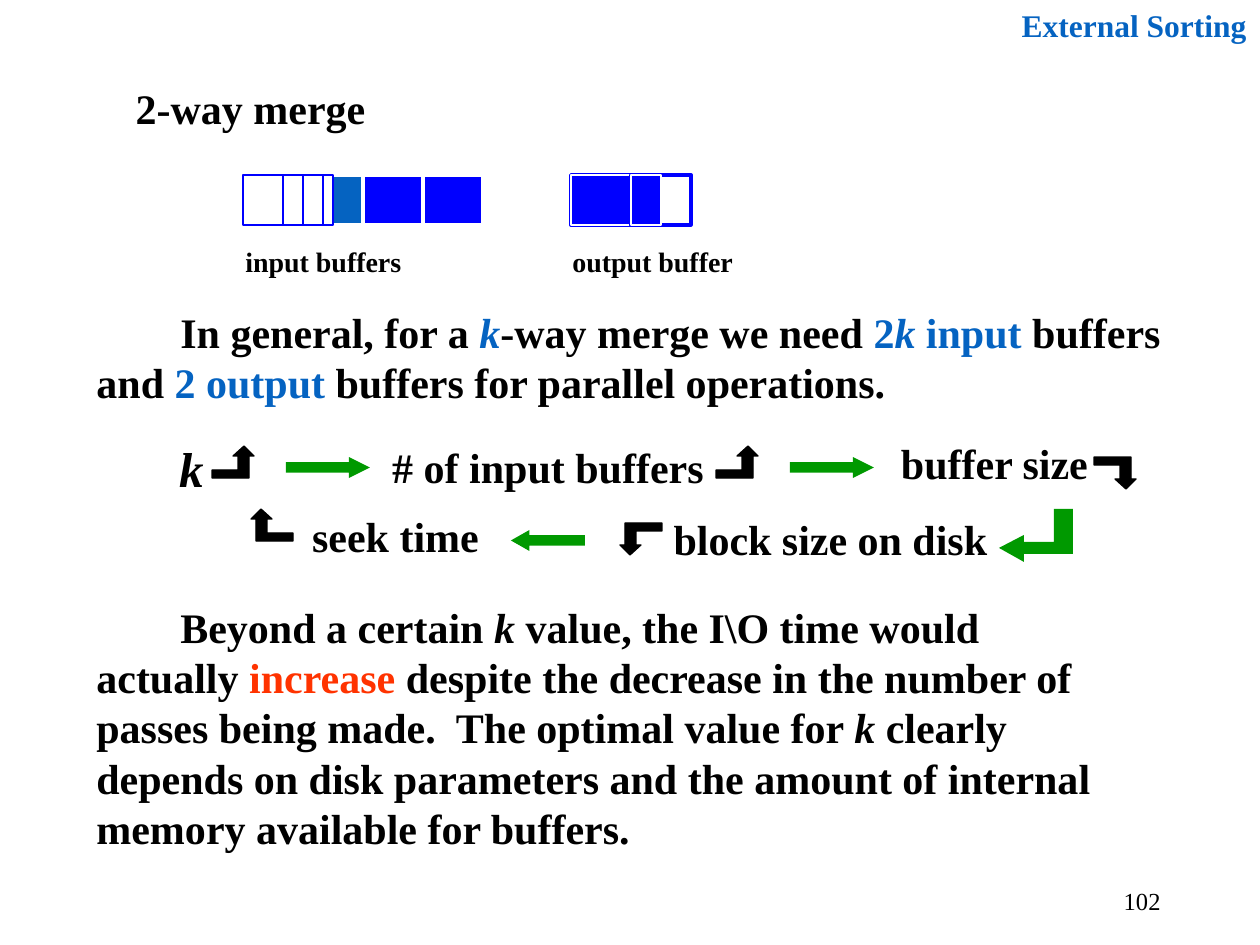
import pptx
import pptx.dml.color
import pptx.enum.shapes
import pptx.enum.text
import pptx.util

RGBColor = pptx.dml.color.RGBColor
BLACK = RGBColor(0x00, 0x00, 0x00)
WHITE = RGBColor(0xFF, 0xFF, 0xFF)
ACCENT = RGBColor(0x05, 0x63, 0xC1)
BLUE = RGBColor(0x00, 0x00, 0xFF)
GREEN = RGBColor(0x00, 0x99, 0x00)
RED = RGBColor(0xFF, 0x33, 0x00)

SCALE = 914400 / 126  # EMU in one px
SHAPE = pptx.enum.shapes.MSO_SHAPE
ALIGN = pptx.enum.text.PP_ALIGN
ANCHOR = pptx.enum.text.MSO_ANCHOR


def write_text(box, at, runs, size=24, bold=True, align=ALIGN.LEFT,
               anchor=ANCHOR.TOP, wrap=True, indent=0):
    """Place the box and fill it with one paragraph of (text, colour, italic) runs."""
    box.left, box.top, box.width, box.height = [round(v * SCALE) for v in at]
    frame = box.text_frame
    frame.auto_size = pptx.enum.text.MSO_AUTO_SIZE.NONE
    frame.word_wrap = wrap
    frame.vertical_anchor = anchor
    para = frame.paragraphs[0]
    para.alignment = align
    para.line_spacing = 1.0
    para.space_before = pptx.util.Pt(0)
    if indent:
        properties = para._p.get_or_add_pPr()
        properties.set("marL", "0")
        properties.set("indent", str(round(indent * SCALE)))
    for text, color, italic in runs:
        span = para.add_run()
        span.text = text
        span.font.name = "Times New Roman"
        span.font.size = pptx.util.Pt(size)
        span.font.bold = bold
        span.font.italic = italic
        span.font.color.rgb = color


def draw_outline(points, color, line_width=0):
    builder = page.shapes.build_freeform(*points[0], scale=SCALE)
    builder.add_line_segments(points[1:], close=True)
    arrow = builder.convert_to_shape()
    arrow.shadow.inherit = False
    arrow.fill.solid()
    arrow.fill.fore_color.rgb = color
    if line_width:
        arrow.line.color.rgb = color
        arrow.line.width = pptx.util.Pt(line_width)
    else:
        arrow.line.fill.background()


deck = pptx.Presentation()
deck.slide_width = round(1260 * SCALE)
deck.slide_height = round(945 * SCALE)
page = deck.slides.add_slide(deck.slide_layouts[5])

# Title, running header and page number
write_text(page.shapes.title, (123, 76, 307, 63), [("2-way merge", BLACK, False)])
write_text(page.shapes.add_textbox(0, 0, 0, 0), (958, 0, 301, 50),
           [("External Sorting", ACCENT, False)], size=18, align=ALIGN.RIGHT)
write_text(page.shapes.add_textbox(0, 0, 0, 0), (890, 876, 283, 50),
           [("102", BLACK, False)], size=14, bold=False, align=ALIGN.RIGHT,
           anchor=ANCHOR.MIDDLE)

# Buffers: full slots are 60 px wide, the emptied parts lie on top
SLOT, BUFFER_TOP, BUFFER_HEIGHT = 60, 175, 50
INPUT, OUTPUT = 243, 571
buffer_cells = [  # left, width, fill, line colour, line width
    (INPUT, SLOT, ACCENT, WHITE, 2),
    (INPUT + SLOT, SLOT, ACCENT, WHITE, 2),
    (OUTPUT, SLOT, None, BLUE, 2),
    (INPUT, 40, WHITE, BLUE, 1),
    (OUTPUT, SLOT, BLUE, WHITE, 1),
    (INPUT + 60, 20, WHITE, BLUE, 1),
    (OUTPUT + SLOT, SLOT, WHITE, BLUE, 2),
    (INPUT + 40, 20, WHITE, BLUE, 1),
    (INPUT + 80, 10, WHITE, BLUE, 1),
    (OUTPUT + SLOT, 30, BLUE, WHITE, 1),
    (INPUT + 2 * SLOT, SLOT, BLUE, WHITE, 2),
    (INPUT + 3 * SLOT, SLOT, BLUE, WHITE, 2),
]
for left, width, fill, line, line_width in buffer_cells:
    cell = page.shapes.add_shape(
        SHAPE.RECTANGLE,
        *[round(v * SCALE) for v in (left, BUFFER_TOP, width, BUFFER_HEIGHT)])
    cell.shadow.inherit = False
    if fill is None:
        cell.fill.background()
    else:
        cell.fill.solid()
        cell.fill.fore_color.rgb = fill
    cell.line.color.rgb = line
    cell.line.width = pptx.util.Pt(line_width)

for left, caption in ((233, "input buffers"), (560, "output buffer")):
    write_text(page.shapes.add_textbox(0, 0, 0, 0), (left, 238, 199, 47),
               [(caption, BLACK, False)], size=16)

# Body paragraphs
write_text(page.shapes.add_textbox(0, 0, 0, 0), (84, 300, 1102, 113), [
    ("In general, for a ", BLACK, False),
    ("k", ACCENT, True),
    ("-way merge we need ", BLACK, False),
    ("2", ACCENT, False),
    ("k", ACCENT, True),
    (" input", ACCENT, False),
    (" buffers and ", BLACK, False),
    ("2 output", ACCENT, False),
    (" buffers for parallel operations.", BLACK, False),
], indent=84)
write_text(page.shapes.add_textbox(0, 0, 0, 0), (84, 595, 1052, 265), [
    ("Beyond a certain ", BLACK, False),
    ("k", BLACK, True),
    (" value, the I\\O time would actually ", BLACK, False),
    ("increase", RED, False),
    (" despite the decrease in the number of passes being made.  "
     "The optimal value for ", BLACK, False),
    ("k", BLACK, True),
    (" clearly depends on disk parameters and the amount of internal "
     "memory available for buffers.", BLACK, False),
], indent=84)

# Chain of effects: each quantity with its rising or falling bent arrow
BENT_WIDTH, BENT_HEIGHT = 42, 32
BENT_ARROW = [(32, 0), (21, 10), (26, 10), (26, 24), (0, 24),
              (0, 32), (37, 32), (37, 10), (42, 10)]
quantities = [  # text, box, size, italic, arrow left, arrow top, mirrored, falling
    ("k", (160, 436, 63, 63), 28, True, 212, 446, False, False),
    ("# of input buffers", (380, 446, 336, 42), 24, False, 716, 446, False, False),
    ("buffer size", (884, 436, 221, 53), 24, False, 1094, 457, False, True),
    ("seek time", (253, 509, 285, 53), 24, False, 251, 509, True, False),
    ("block size on disk", (673, 512, 315, 53), 24, False, 620, 523, True, True),
]
for text, at, size, italic, left, top, mirrored, falling in quantities:
    write_text(page.shapes.add_textbox(0, 0, 0, 0), at, [(text, BLACK, italic)],
               size=size, align=ALIGN.CENTER, anchor=ANCHOR.MIDDLE, wrap=False)
    draw_outline([(left + (BENT_WIDTH - x if mirrored else x),
                   top + (BENT_HEIGHT - y if falling else y))
                  for x, y in BENT_ARROW], BLACK, 0.75)

# Green arrows from one quantity to the next
for left, top, width, leftward in ((286, 457, 84, False), (790, 457, 84, False),
                                   (511, 530, 74, True)):
    arrow = page.shapes.add_shape(
        SHAPE.RIGHT_ARROW, *[round(v * SCALE) for v in (left, top, width, 21)])
    arrow.adjustments[0] = 0.5
    arrow.adjustments[1] = 1
    if leftward:
        arrow.adjustments[1] = 0.88
        arrow._element.spPr.get_or_add_xfrm().set("flipH", "1")
    arrow.shadow.inherit = False
    arrow.fill.solid()
    arrow.fill.fore_color.rgb = GREEN
    arrow.line.fill.background()
draw_outline([(999, 548), (1024, 535), (1024, 542), (1054, 542), (1054, 509),
              (1073, 509), (1073, 554), (1024, 554), (1024, 562)], GREEN)

deck.save("out.pptx")
